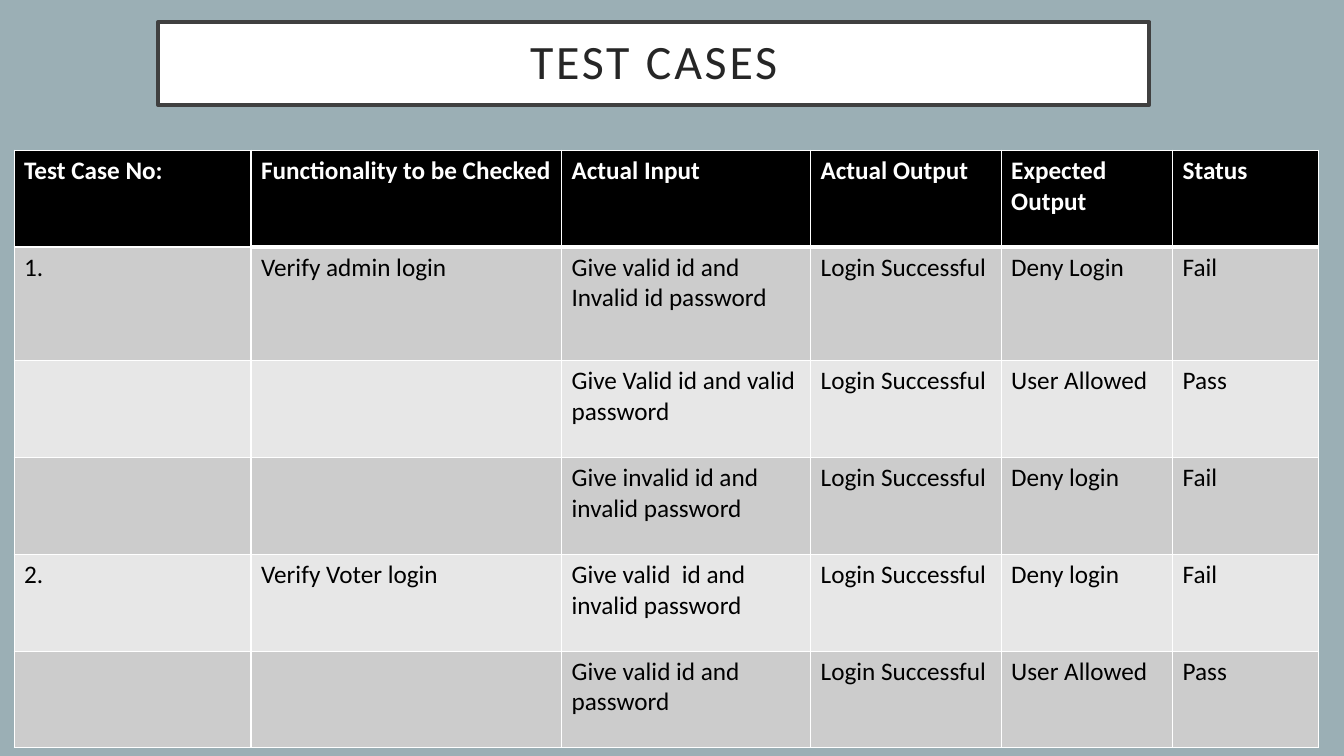
from lxml.etree import SubElement
from pptx import Presentation
from pptx.dml.color import RGBColor
from pptx.enum.shapes import MSO_SHAPE
from pptx.enum.text import MSO_ANCHOR, PP_ALIGN
from pptx.oxml.ns import qn
from pptx.util import Inches, Pt

TITLE = "TEST CASES"
HEADER = ("Test Case No:", "Functionality to be Checked", "Actual Input",
          "Actual Output", "Expected Output", "Status")
CASES = [
    ("1.", "Verify admin login", "Give valid id and Invalid id password",
     "Login Successful", "Deny Login", "Fail"),
    ("", "", "Give Valid id and valid password",
     "Login Successful", "User Allowed", "Pass"),
    ("", "", "Give invalid id and invalid password",
     "Login Successful", "Deny login", "Fail"),
    ("2.", "Verify Voter login", "Give valid  id and invalid password",
     "Login Successful", "Deny login", "Fail"),
    ("", "", "Give valid id and password",
     "Login Successful", "User Allowed", "Pass"),
]
COLUMN_WIDTHS = (2.35, 3.08, 2.47, 1.89, 1.7, 1.45)
ROW_HEIGHT, FIRST_CASE_HEIGHT = 0.96, 1.13
ROW_HEIGHTS = [ROW_HEIGHT, FIRST_CASE_HEIGHT] + [ROW_HEIGHT] * (len(CASES) - 1)
FONT = "Calibri"
COLORS = {
    "background": "9BAFB5", "white": "FFFFFF", "frame": "404040",
    "title": "262626", "black": "000000", "odd": "CCCCCC", "even": "E7E7E7",
}


def color(name):
    return RGBColor.from_string(COLORS[name])


def set_font(para, size, color_name, bold=False):
    font = para.font
    font.name, font.size, font.bold = FONT, Pt(size), bold
    font.color.rgb = color(color_name)


def add_borders(cell, widths):
    """Draw white left, right, top and bottom borders, widths in points."""
    properties = cell._tc.get_or_add_tcPr()
    for side, width in zip("LRTB", widths):
        line = SubElement(properties, qn(f"a:ln{side}"), w=str(Pt(width)))
        fill = SubElement(line, qn("a:solidFill"))
        SubElement(fill, qn("a:srgbClr"), val=COLORS["white"])


def add_title(page):
    box = page.shapes.add_shape(MSO_SHAPE.RECTANGLE, Inches(1.57), Inches(0.22),
                                Inches(9.83), Inches(0.82))
    box.shadow.inherit = False
    box.fill.solid()
    box.fill.fore_color.rgb = color("white")
    box.line.color.rgb = color("frame")
    box.line.width = Pt(3)
    frame = box.text_frame
    frame.word_wrap = True
    frame.vertical_anchor = MSO_ANCHOR.MIDDLE
    frame.margin_left = frame.margin_right = Inches(0.3)
    frame.margin_top = frame.margin_bottom = Inches(0.2)
    para = frame.paragraphs[0]
    para.alignment = PP_ALIGN.CENTER
    para.line_spacing = 0.9
    span = para.add_run()
    span.text = TITLE
    set_font(para, 34.2, "title")
    span.font._element.set("spc", "200")  # letter spacing of 2 points


def add_case_table(page):
    rows = [HEADER] + CASES
    table = page.shapes.add_table(
        len(rows), len(HEADER), Inches(0.14), Inches(1.49),
        Inches(sum(COLUMN_WIDTHS)), Inches(sum(ROW_HEIGHTS))).table
    for column, width in zip(table.columns, COLUMN_WIDTHS):
        column.width = Inches(width)
    for row, height in zip(table.rows, ROW_HEIGHTS):
        row.height = Inches(height)

    for r, texts in enumerate(rows):
        is_header = r == 0
        band = "black" if is_header else "odd" if r % 2 else "even"
        for c, text in enumerate(texts):
            cell = table.cell(r, c)
            # The rule below the header is heavy from the second column on
            rule = 3 if c else 1
            add_borders(cell, (1, 1, rule if r == 1 else 1, rule if is_header else 1))
            cell.fill.solid()
            cell.fill.fore_color.rgb = color(band)
            cell.text = text
            set_font(cell.text_frame.paragraphs[0], 18,
                     "white" if is_header else "black", is_header)


def main():
    deck = Presentation()
    deck.slide_width, deck.slide_height = Inches(13.33), Inches(7.5)
    page = deck.slides.add_slide(deck.slide_layouts[6])
    page.background.fill.solid()
    page.background.fill.fore_color.rgb = color("background")
    add_title(page)
    add_case_table(page)
    deck.save("out.pptx")


if __name__ == "__main__":
    main()
